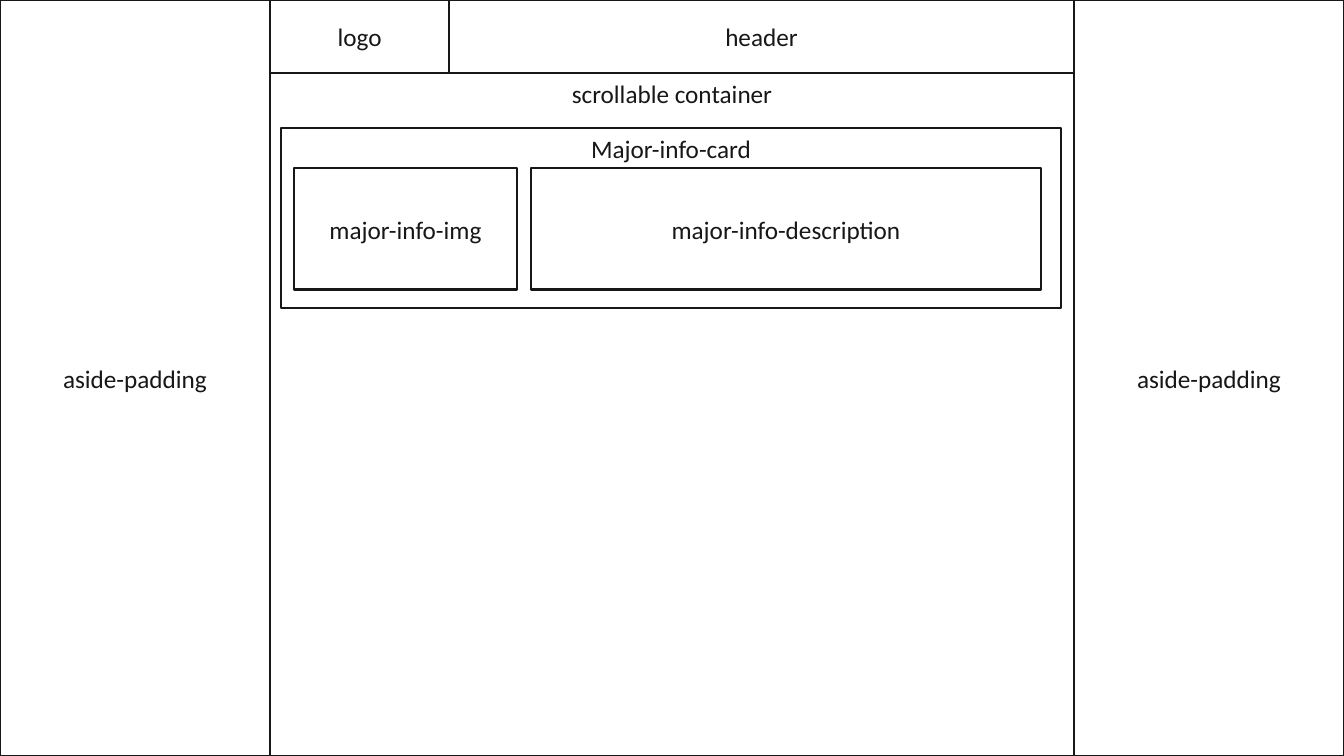
from dataclasses import dataclass

from pptx import Presentation
from pptx import util as u
from pptx.dml.color import RGBColor
from pptx.enum import shapes, text

PX = u.Inches(1) / 100.8
WIDTH, HEIGHT = 1344, 756


def px(n):
    return u.Emu(round(n * PX))


@dataclass(frozen=True)
class Theme:
    ink: RGBColor = RGBColor(0x18, 0x17, 0x17)
    font: str = "Calibri"
    label: int = 18
    line: int = 2


class Wireframe:
    def __init__(self, slide, theme):
        self.slide = slide
        self.theme = theme

    def group(self):
        return self.slide.shapes.add_group_shape()

    def box(self, label, x, y, w, h, anchor=text.MSO_ANCHOR.MIDDLE, parent=None):
        """Draw an outlined, labelled region on the slide or in a parent group."""
        owner = parent or self.slide
        s = owner.shapes.add_shape(
            shapes.MSO_SHAPE.RECTANGLE, px(x), px(y), px(w), px(h))
        s.shadow.inherit = False
        s.fill.background()
        s.line.color.rgb = self.theme.ink
        s.line.width = u.Pt(self.theme.line)
        tf = s.text_frame
        tf.text = label
        tf.word_wrap = True
        tf.vertical_anchor = anchor
        p = tf.paragraphs[0]
        p.alignment = text.PP_ALIGN.CENTER
        font = p.runs[0].font
        font.name = self.theme.font
        font.size = u.Pt(self.theme.label)
        font.color.rgb = self.theme.ink


def main():
    prs = Presentation()
    prs.slide_width, prs.slide_height = px(WIDTH), px(HEIGHT)
    page = Wireframe(prs.slides.add_slide(prs.slide_layouts[6]), Theme())
    top = text.MSO_ANCHOR.TOP

    aside, bar, logo = 270, 73, 179
    main_width = WIDTH - 2 * aside
    for x in (0, WIDTH - aside):
        page.box("aside-padding", x, 0, aside, HEIGHT)
    page.box("header", aside + logo, 0, main_width - logo, bar)
    page.box("scrollable container", aside, bar, main_width, HEIGHT - bar, top)
    page.box("logo", aside, 0, logo, bar)

    card = page.group()
    page.box("Major-info-card", 281, 128, 780, 180, top, card)
    for label, x, w in (("major-info-img", 294, 223),
                        ("major-info-description", 531, 510)):
        page.box(label, x, 168, w, 122, parent=card)

    prs.save("out.pptx")


if __name__ == "__main__":
    main()
